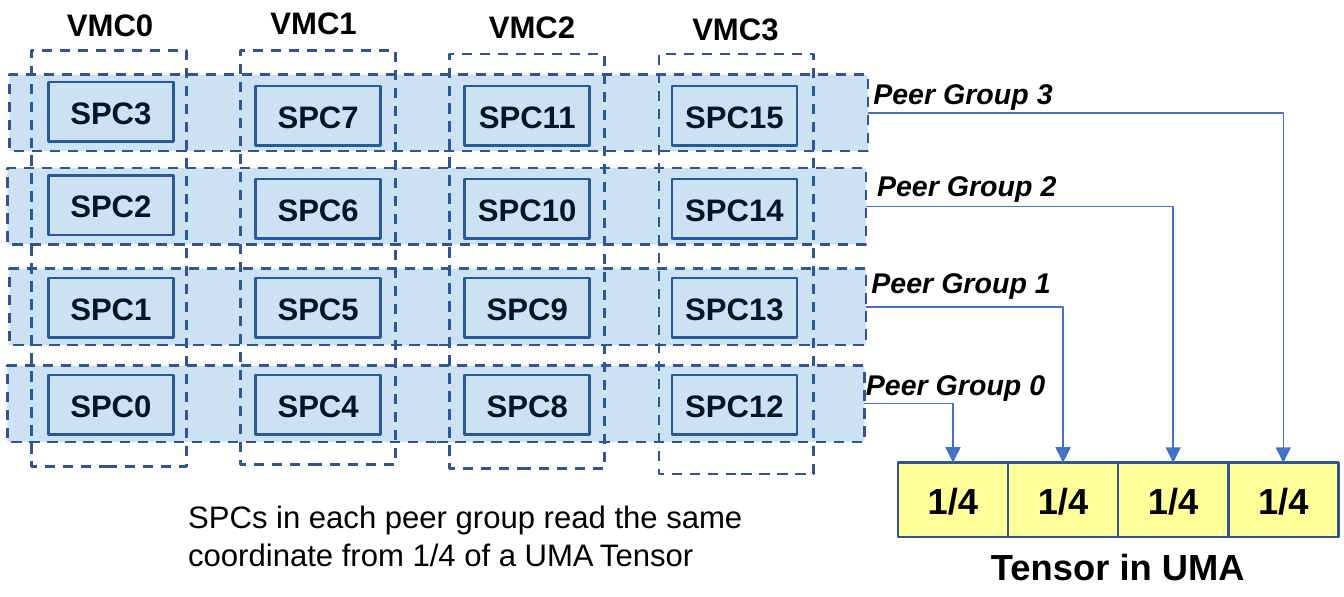
from lxml import etree
from pptx import Presentation
from pptx.dml.color import RGBColor
from pptx.enum.dml import MSO_LINE
from pptx.enum.shapes import MSO_CONNECTOR, MSO_SHAPE
from pptx.enum.text import MSO_ANCHOR, PP_ALIGN
from pptx.oxml.ns import qn
from pptx.util import Inches, Pt

RECT = MSO_SHAPE.RECTANGLE
ELBOW = MSO_CONNECTOR.ELBOW
DASH = MSO_LINE.DASH
MIDDLE = MSO_ANCHOR.MIDDLE
LEFT, CENTER = PP_ALIGN.LEFT, PP_ALIGN.CENTER
TOP_SIDE, RIGHT_SIDE = 0, 3

BLACK = RGBColor(0x00, 0x00, 0x00)
WHITE = RGBColor(0xFF, 0xFF, 0xFF)
YELLOW = RGBColor(0xFF, 0xFF, 0x99)
BAND_BLUE = RGBColor(0x00, 0x70, 0xC0)
OUTLINE = RGBColor(0x32, 0x54, 0x91)
ARROW_BLUE = RGBColor(0x44, 0x72, 0xC4)

# left, top, height of each VMC frame; left, top of its label; top shift of its upper SPCs
VMCS = [
    (0.17, 0.27, 2.23, 0.23, -0.02, -0.02),
    (1.29, 0.27, 2.22, 1.32, -0.03, 0),
    (2.41, 0.29, 2.22, 2.49, -0.01, 0),
    (3.53, 0.29, 2.25, 3.58, 0, 0),
]
SPC_LEFTS = [0.26, 1.37, 2.49, 3.6]
SPC_TOPS = [2.01, 1.49, 0.96, 0.46]
# left, top, width of each peer group band; left, top of its label
PEER_GROUPS = [
    (0.04, 1.96, 4.59, 4.54, 1.92),
    (0.05, 1.44, 4.59, 4.57, 1.37),
    (0.04, 0.9, 4.6, 4.6, 0.85),
    (0.05, 0.4, 4.6, 4.58, 0.36),
]
TENSOR_LEFT, TENSOR_TOP, PART_WIDTH = 4.81, 2.48, 0.59


class Diagram:
    def __init__(self, slide, font="Arial"):
        self.shapes = slide.shapes
        self.font = font

    def set_text(self, tf, text, size, align=CENTER, bold=True, italic=False):
        p = tf.paragraphs[0]
        p.text = text
        p.alignment = align
        p.font.name = self.font
        p.font.size = Pt(size)
        p.font.bold = bold
        p.font.italic = italic
        p.font.color.rgb = BLACK

    def rect(self, x, y, w, h, fill=None, alpha=None, dashed=False):
        """Draw an outlined rectangle; alpha is the fill opacity in percent."""
        sp = self.shapes.add_shape(RECT, Inches(x), Inches(y), Inches(w), Inches(h))
        sp.shadow.inherit = False
        sp.line.color.rgb = OUTLINE
        sp.line.width = Pt(1)
        if dashed:
            sp.line.dash_style = DASH
        if fill is None:
            sp.fill.background()
        else:
            sp.fill.solid()
            sp.fill.fore_color.rgb = fill
        if alpha is not None:
            color = sp._element.spPr.find(qn("a:solidFill")).find(qn("a:srgbClr"))
            etree.SubElement(color, qn("a:alpha"), val=str(alpha * 1000))
        return sp

    def box(self, x, y, w, h, text, size, fill, wrap=True):
        sp = self.rect(x, y, w, h, fill)
        tf = sp.text_frame
        tf.vertical_anchor = MIDDLE
        tf.word_wrap = wrap
        self.set_text(tf, text, size)
        return sp

    def label(self, x, y, w, h, text, size, **style):
        sp = self.shapes.add_textbox(Inches(x), Inches(y), Inches(w), Inches(h))
        sp.text_frame.word_wrap = True
        self.set_text(sp.text_frame, text, size, **style)

    def arrow(self, band, part):
        """Run a one-bend arrow from a band's right side down to a tensor part."""
        cn = self.shapes.add_connector(ELBOW, 0, 0, 0, 0)
        cn.begin_connect(band, RIGHT_SIDE)
        cn.end_connect(part, TOP_SIDE)
        cn.line.color.rgb = ARROW_BLUE
        cn.line.width = Pt(0.5)
        props = cn._element.spPr
        props.find(qn("a:prstGeom")).set("prst", "bentConnector2")
        etree.SubElement(props.find(qn("a:ln")), qn("a:tailEnd"), type="triangle")
        etree.SubElement(props, qn("a:effectLst"))


def main():
    prs = Presentation()
    prs.slide_width, prs.slide_height = Inches(7.2), Inches(3.2)
    d = Diagram(prs.slides.add_slide(prs.slide_layouts[6]))

    parts = [
        d.box(TENSOR_LEFT + i * PART_WIDTH, TENSOR_TOP, PART_WIDTH, 0.4, "1/4", 14, YELLOW)
        for i in range(len(PEER_GROUPS))
    ]
    d.label(4.96, 2.87, 2.06, 0.34, "Tensor in UMA", 14)

    for col, (x, y, h, label_x, label_y, shift) in enumerate(VMCS):
        for group, top in enumerate(SPC_TOPS):
            spc_y = top + (shift if group >= 2 else 0)
            name = f"SPC{col * len(SPC_TOPS) + group}"
            d.box(SPC_LEFTS[col], spc_y, 0.67, 0.32, name, 12, WHITE, wrap=False)
        d.rect(x, y, 0.83, h, dashed=True)
        d.label(label_x, label_y, 0.72, 0.3, f"VMC{col}", 12)

    for group, (x, y, w, label_x, label_y) in enumerate(PEER_GROUPS):
        band = d.rect(x, y, w, 0.41, BAND_BLUE, alpha=20, dashed=True)
        d.arrow(band, parts[group])
        d.label(label_x, label_y, 1.29, 0.29, f"Peer Group {group}", 11,
                align=LEFT, italic=True)

    d.label(0.91, 2.62, 3.19, 0.5,
            "SPCs in each peer group read the same coordinate from 1/4 of a UMA Tensor",
            12, align=LEFT, bold=False)
    prs.save("out.pptx")


if __name__ == "__main__":
    main()
